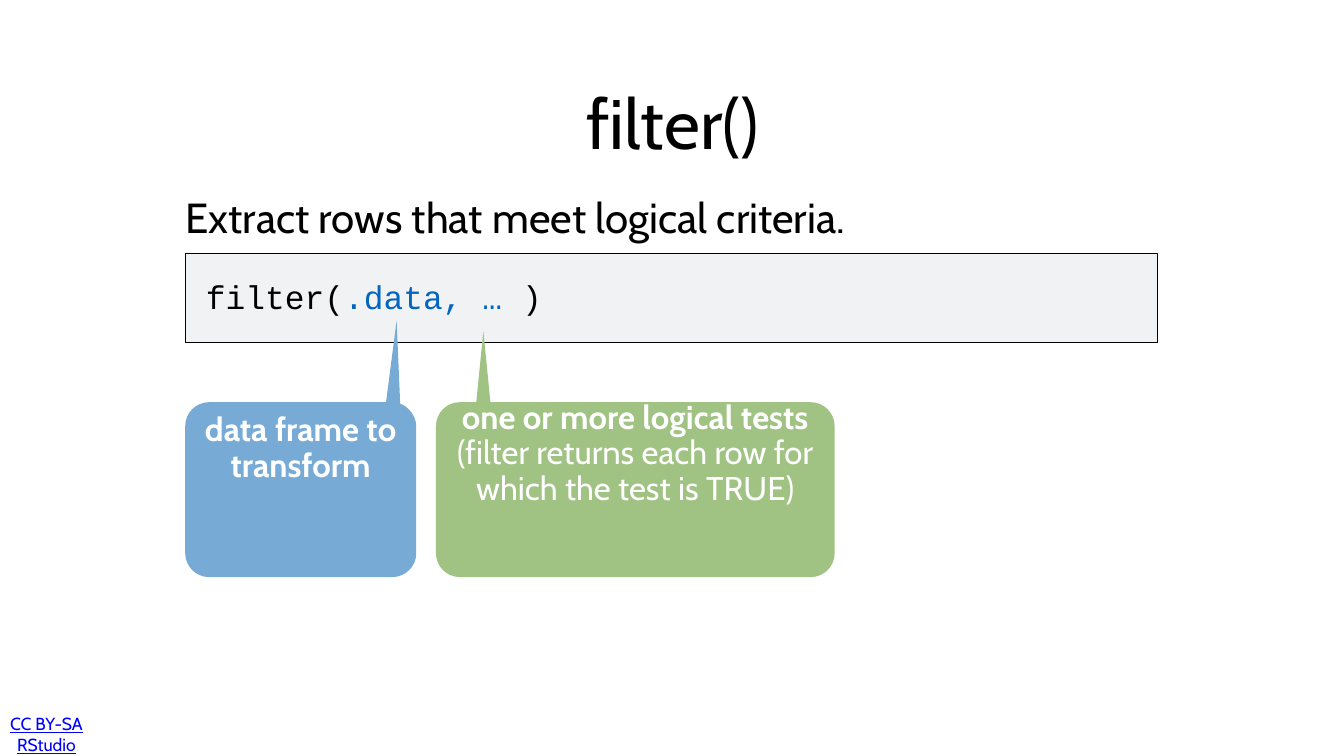
import pptx
import pptx.util
from lxml import etree
from pptx.dml.color import RGBColor
from pptx.enum.shapes import MSO_SHAPE
from pptx.enum.text import MSO_ANCHOR, PP_ALIGN
from pptx.oxml.ns import qn

Pt = pptx.util.Pt

BLACK = RGBColor(0x00, 0x00, 0x00)
WHITE = RGBColor(0xFF, 0xFF, 0xFF)
LINK = RGBColor(0x00, 0x00, 0xFF)
CODE_BLUE = RGBColor(0x03, 0x65, 0xC0)
PANEL = RGBColor(0xF0, 0xF2, 0xF4)
GREEN = RGBColor(0xA0, 0xC2, 0x83)
BLUE = RGBColor(0x78, 0xAA, 0xD6)

# Content: runs are (text, font overrides)
LICENSE = [("CC BY-SA RStudio", {"underline": True})]
TITLE = [("filter()", {})]
SUBTITLE = [("Extract rows that meet logical criteria.", {})]
CODE = [("filter(", {}), (".data, … ", {"color": CODE_BLUE}), (")", {})]

# Callouts share top, bottom and corner radius. The top right corner is
# given by its end point and the point where its tangents meet.
TOP, BOTTOM, RADIUS = 574.6, 824.4, 34
BEND = 0.55
CALLOUTS = [
    {"left": 622.8, "right": 1192.3, "tip": (690.5, 473), "base_left": 680.4,
     "corner_end": (1158.3, TOP), "corner": (1192.3, TOP),
     "base_right": [(700.6, TOP)], "fill": GREEN,
     "runs": [("one or more logical tests ", {"bold": True}),
              ("(filter returns each row for which the test is TRUE)", {})]},
    {"left": 264.6, "right": 594.6, "tip": (566.6, 458), "base_left": 551.5,
     "corner_end": (571.7, 576.7), "corner": (594.6, 584.8),
     "base_right": [], "fill": BLUE,
     "runs": [("data frame to transform", {"bold": True})]},
]


def write(sp, runs, size, font="Cabin", color=BLACK, align=PP_ALIGN.LEFT,
          anchor=MSO_ANCHOR.MIDDLE, insets=(4, 4, 4, 4), spacing=None):
    tf = sp.text_frame
    tf.word_wrap = True
    tf.vertical_anchor = anchor
    tf.margin_left, tf.margin_top, tf.margin_right, tf.margin_bottom = map(Pt, insets)
    p = tf.paragraphs[0]
    p.alignment = align
    p.line_spacing = spacing
    for text, style in runs:
        r = p.add_run()
        r.text = text
        r.font.name = font
        r.font.size = Pt(size)
        r.font.bold = style.get("bold", False)
        r.font.underline = style.get("underline", False)
        r.font.color.rgb = style.get("color", color)


def text_box(s, box, runs, size, **style):
    write(s.shapes.add_textbox(*map(Pt, box)), runs, size, **style)


def round_corner(sp, line, start, corner, end):
    """Turn a straight segment of the outline into a curve."""
    curve = etree.Element(qn("a:cubicBezTo"))
    controls = [tuple(a + BEND * (b - a) for a, b in zip(p, corner)) for p in (start, end)]
    for x, y in controls + [end]:
        etree.SubElement(curve, qn("a:pt"), x=str(Pt(x) - sp.left), y=str(Pt(y) - sp.top))
    line.getparent().replace(line, curve)


def add_callout(s, c):
    left, right = c["left"], c["right"]
    x1, x2, y1, y2 = left + RADIUS, right - RADIUS, TOP + RADIUS, BOTTOM - RADIUS
    corners = [((x1, TOP), (left, TOP), (left, y1)),
               ((left, y2), (left, BOTTOM), (x1, BOTTOM)),
               ((x2, BOTTOM), (right, BOTTOM), (right, y2)),
               ((right, y1), c["corner"], c["corner_end"])]
    points = [c["tip"], (c["base_left"], TOP)]
    for start, _, end in corners:
        points += [start, end]
    points = [(Pt(x), Pt(y)) for x, y in points + c["base_right"]]
    fb = s.shapes.build_freeform(*points[0])
    fb.add_line_segments(points[1:], close=True)
    sp = fb.convert_to_shape()
    lines = list(sp.element.iter(qn("a:lnTo")))
    for line, corner in zip(lines[2::2], corners):
        round_corner(sp, line, *corner)
    sp.shadow.inherit = False
    sp.fill.solid()
    sp.fill.fore_color.rgb = c["fill"]
    sp.line.fill.background()
    write(sp, c["runs"], 47, color=WHITE, align=PP_ALIGN.CENTER,
          insets=(6, 6, 6, 6), spacing=0.9)


prs = pptx.Presentation()
prs.slide_width, prs.slide_height = Pt(1920), Pt(1080)
s = prs.slides.add_slide(prs.slide_layouts[6])

# License line, title and subtitle
text_box(s, (8.6, 1026.7, 191.5, 43.2), LICENSE, 25, color=LINK,
         align=PP_ALIGN.CENTER, insets=(4, 6, 80, 6))
text_box(s, (316.8, 79.2, 1288.8, 188.6), TITLE, 100, align=PP_ALIGN.CENTER)
text_box(s, (265, 253.4, 1288.8, 112.3), SUBTITLE, 60, insets=(0, 0, 0, 0))

# Code panel
panel = s.shapes.add_shape(MSO_SHAPE.RECTANGLE, Pt(265), Pt(362.2), Pt(1388.9), Pt(127.4))
panel.shadow.inherit = False
panel.fill.solid()
panel.fill.fore_color.rgb = PANEL
panel.line.color.rgb = BLACK
panel.line.width = Pt(1)
text_box(s, (290.2, 391, 1241.3, 112.3), CODE, 47, font="Courier New",
         anchor=MSO_ANCHOR.TOP)

# Callouts
for callout in CALLOUTS:
    add_callout(s, callout)

prs.save("out.pptx")
